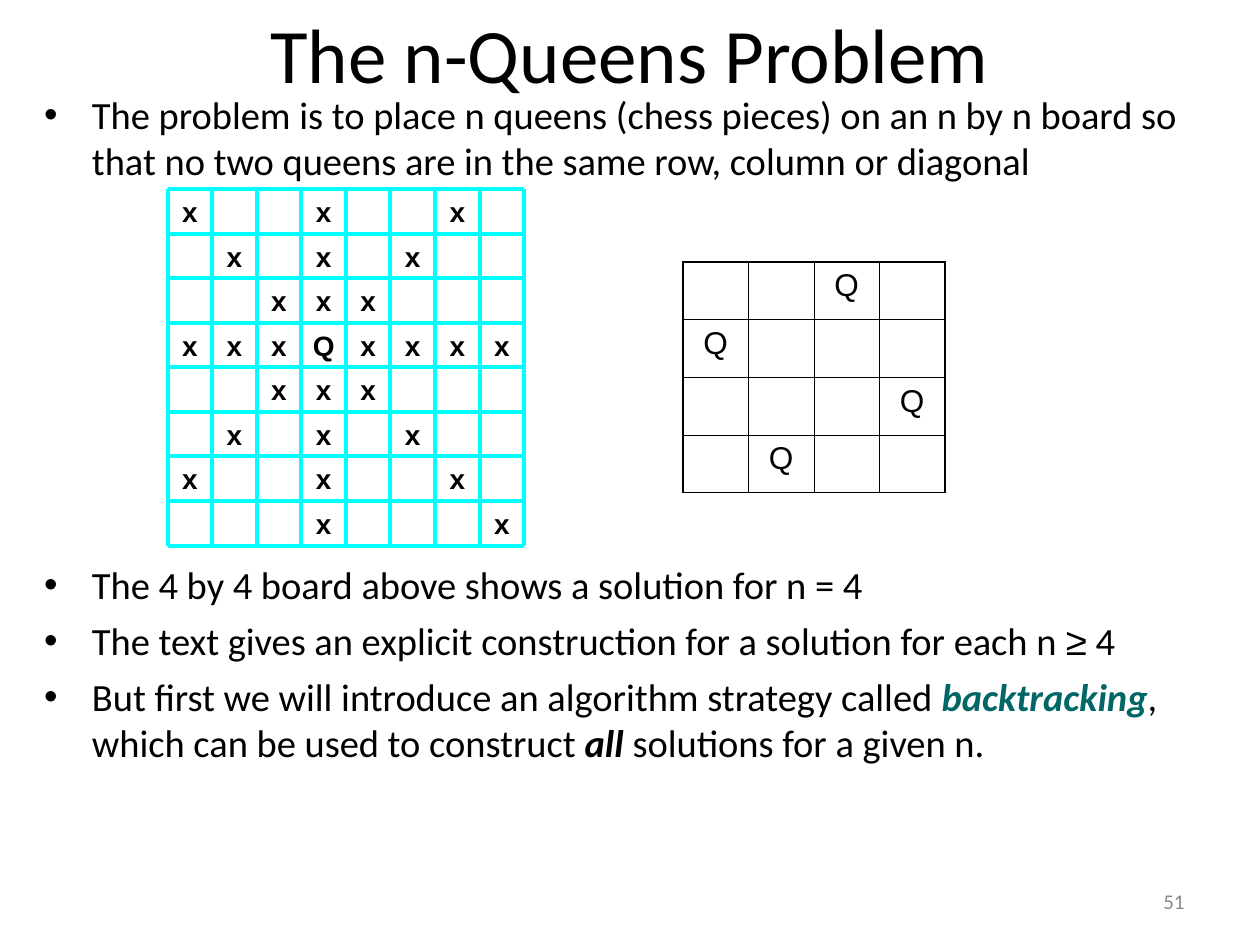
"""Build the n-Queens problem slide with an attack board and a 4 by 4 solution."""
from lxml import etree
from pptx import Presentation
from pptx import util as u
from pptx.dml.color import RGBColor
from pptx.enum import shapes, text
from pptx.oxml import ns

BLACK = RGBColor(0x00, 0x00, 0x00)
GREY = RGBColor(0x89, 0x89, 0x89)
TEAL = RGBColor(0x00, 0x66, 0x66)
CYAN = RGBColor(0x00, 0xFF, 0xFF)

TITLE = {"name": "Calibri", "size": u.Pt(44)}
BODY = {"name": "Calibri", "size": u.Pt(22)}
SYMBOL = {**BODY, "name": "Arial"}
STRONG = {**BODY, "bold": True, "italic": True}
NUMBER = {"name": "Calibri", "size": u.Pt(12)}
QUEEN = {"name": "Arial", "size": u.Pt(18)}
MARK = {"name": "Arial", "size": u.Pt(16), "bold": True}

PLAIN_FRAME = {"auto_size": text.MSO_AUTO_SIZE.NONE, "word_wrap": True,
               "vertical_anchor": text.MSO_ANCHOR.TOP}
MIDDLE_FRAME = {**PLAIN_FRAME, "vertical_anchor": text.MSO_ANCHOR.MIDDLE}
MARK_FRAME = {**MIDDLE_FRAME, "margin_left": 0, "margin_right": 0,
              "margin_top": 0, "margin_bottom": 0}


def apply(target, formats):
    for name, value in formats.items():
        setattr(target, name, value)


def write(para, words, font, color=BLACK, align=None):
    span = para.add_run()
    span.text = words
    apply(span.font, font)
    span.font.color.rgb = color
    para.alignment = align


deck = Presentation()
apply(deck, {"slide_width": u.Inches(10), "slide_height": u.Inches(7.5)})
page = deck.slides.add_slide(deck.slide_layouts[1])
title, body = page.placeholders
center = text.PP_ALIGN.CENTER

number = page.shapes.add_textbox(u.Inches(7.17), u.Inches(6.95), u.Inches(2.33), u.Inches(0.4))
apply(number.text_frame, MIDDLE_FRAME)
write(number.text_frame.paragraphs[0], "51", NUMBER, GREY, text.PP_ALIGN.RIGHT)

apply(title, {"left": u.Inches(0.5), "top": u.Inches(0),
              "width": u.Inches(9), "height": u.Inches(0.53)})
apply(title.text_frame, PLAIN_FRAME)
write(title.text_frame.paragraphs[0], "The n-Queens Problem", TITLE, align=center)

apply(body, {"left": u.Inches(0.25), "top": u.Inches(0.67),
             "width": u.Inches(9.58), "height": u.Inches(6.58)})
apply(body.text_frame, PLAIN_FRAME)
bullets = [
    (5.5, [("The problem is to place n queens (chess pieces) on an n by n board so "
            "that no two queens are in the same row, column or diagonal", BODY, BLACK)]),
    (216, [("The 4 by 4 board above shows a solution for n = 4", BODY, BLACK)]),
    (5.5, [("The text gives an explicit construction for a solution for each n ", BODY, BLACK),
           ("≥", SYMBOL, BLACK), (" 4", BODY, BLACK)]),
    (5.5, [("But first we will introduce an algorithm strategy called ", BODY, BLACK),
           ("backtracking", STRONG, TEAL),
           (", which can be used to construct ", BODY, BLACK),
           ("all", STRONG, BLACK), (" solutions for a given n.", BODY, BLACK)]),
]
for index, (gap, spans) in enumerate(bullets):
    para = body.text_frame.add_paragraph() if index else body.text_frame.paragraphs[0]
    para.space_before = u.Pt(gap)
    properties = para._p.get_or_add_pPr()
    properties.set("marL", str(u.Inches(0.38)))
    properties.set("indent", str(u.Inches(-0.38)))
    for words, font, color in spans:
        write(para, words, font, color)

solution = ["..Q.", "Q...", "...Q", ".Q.."]
last = len(solution) - 1
table = page.shapes.add_table(4, 4, u.Inches(5.42), u.Inches(2.08),
                              u.Inches(2.08), u.Inches(1.83)).table
apply(table, {"first_row": False, "horz_banding": False})
for row, squares in enumerate(solution):
    for column, square in enumerate(squares):
        cell = table.cell(row, column)
        edges = {"lnL": column == 0, "lnR": column == last, "lnT": row == 0, "lnB": row == last}
        for edge, outer in edges.items():
            border = etree.SubElement(cell._tc.get_or_add_tcPr(), ns.qn(f"a:{edge}"),
                                      w=str(u.Pt(1.08 if outer else 0.45)))
            fill = etree.SubElement(border, ns.qn("a:solidFill"))
            etree.SubElement(fill, ns.qn("a:srgbClr"), val=str(BLACK))
        cell.fill.background()
        if square == "Q":
            write(cell.text_frame.paragraphs[0], square, QUEEN, align=center)

attacks = ["x..x..x.", ".x.x.x..", "..xxx...", "xxxQxxxx",
           "..xxx...", ".x.x.x..", "x..x..x.", "...x...x"]
size = len(attacks)
half = size // 2
left, top, side = 1.33, 1.5, 2.83 / size
board = page.shapes.add_group_shape()
for row, squares in enumerate(attacks):
    for column, square in enumerate(squares):
        if square != ".":
            box = board.shapes.add_textbox(u.Inches(left + column * side), u.Inches(top + row * side),
                                           u.Inches(side), u.Inches(side))
            apply(box.text_frame, MARK_FRAME)
            write(box.text_frame.paragraphs[0], square, MARK, align=center)

for step in range(size + 1):
    for start in (0, half):
        for ends in ([(start, step), (start + half, step)], [(step, start), (step, start + half)]):
            points = [u.Inches(origin + count * side)
                      for end in ends for origin, count in zip((left, top), end)]
            line = board.shapes.add_connector(shapes.MSO_CONNECTOR.STRAIGHT, *points)
            line.line.color.rgb = CYAN
            line.line.width = u.Pt(2.25)
            etree.SubElement(line._element.spPr, ns.qn("a:effectLst"))

deck.save("out.pptx")
